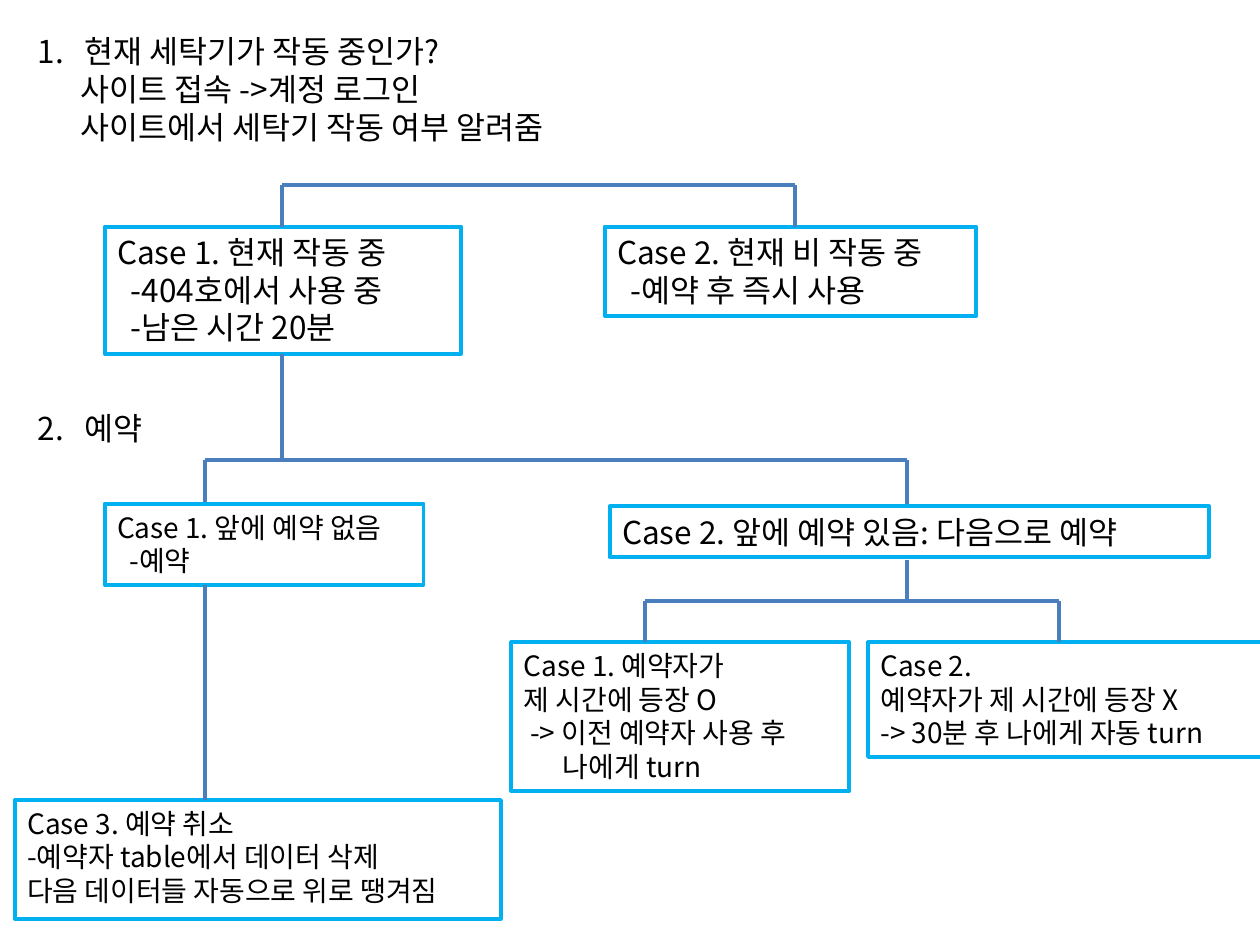
from dataclasses import dataclass

from lxml.etree import SubElement
from pptx import Presentation
from pptx.dml.color import RGBColor
from pptx.enum.shapes import MSO_CONNECTOR, MSO_SHAPE
from pptx.enum.text import MSO_ANCHOR, MSO_AUTO_SIZE, PP_ALIGN
from pptx.oxml.ns import qn
from pptx.util import Cm, Pt

FONT = "Noto Sans CJK KR"
COLORS = {"text": "000000", "box": "00B0F0", "line": "4B7EBC"}
LINE_WIDTH = Pt(2.25)
NUMBER_INDENT = 0.95


@dataclass
class Line:
    text: str
    indent: float = 0
    number: int = 0


@dataclass
class Block:
    left: float
    top: float
    width: float
    height: float
    size: int
    lines: list[Line]


@dataclass
class Fork:
    """A horizontal bar with an optional stem above and branches below."""
    bar: float
    branches: list[tuple[float, float]]
    stem: tuple[float, float] | None = None


HEADINGS = [
    Block(0.51, 0.53, 21.79, 2.56, 18, [
        Line("현재 세탁기가 작동 중인가?", number=1),
        Line("사이트 접속 ->계정 로그인", 0.87),
        Line("사이트에서 세탁기 작동 여부 알려줌", 0.87)]),
    Block(0.51, 8.13, 21.79, 1.02, 18, [Line("예약", number=2)]),
]

CASES = [
    # Is the washer running?
    Block(2.11, 4.57, 7.19, 2.56, 18, [
        Line("Case 1. 현재 작동 중"),
        Line("-404호에서 사용 중", 0.28),
        Line("-남은 시간 20분", 0.28)]),
    Block(12.19, 4.57, 7.49, 1.8, 18, [
        Line("Case 2. 현재 비 작동 중"),
        Line("-예약 후 즉시 사용", 0.28)]),
    # Reservation
    Block(2.11, 10.16, 6.43, 1.63, 16, [
        Line("Case 1. 앞에 예약 없음"),
        Line("-예약", 0.25)]),
    Block(12.29, 10.21, 12.09, 1.02, 18, [
        Line("Case 2. 앞에 예약 있음: 다음으로 예약")]),
    Block(0.3, 16.13, 9.8, 2.39, 16, [
        Line("Case 3. 예약 취소"),
        Line("-예약자 table에서 데이터 삭제"),
        Line("다음 데이터들 자동으로 위로 땡겨짐")]),
    # Does the previous person show up?
    Block(10.31, 12.95, 6.81, 3, 16, [
        Line("Case 1. 예약자가"),
        Line("제 시간에 등장 O"),
        Line("-> 이전 예약자 사용 후", 0.13),
        Line("나에게 turn", 0.79)]),
    Block(17.5, 12.95, 8, 2.31, 16, [
        Line("Case 2."),
        Line("예약자가 제 시간에 등장 X"),
        Line("-> 30분 후 나에게 자동 turn")]),
]

FORKS = [
    Fork(3.73, [(5.69, 4.57), (16.03, 4.57)]),
    Fork(9.27, [(4.14, 10.11), (18.29, 10.16)], stem=(5.69, 7.13)),
    Fork(12.12, [(13, 12.95), (21.34, 12.95)], stem=(18.29, 11.28)),
]


def color(name: str) -> RGBColor:
    return RGBColor.from_string(COLORS[name])


def write_line(paragraph, text: str, *, size: int, indent: float = 0, number: int = 0) -> None:
    paragraph.alignment = PP_ALIGN.LEFT
    run = paragraph.add_run()
    run.text = text
    run.font.size = Pt(size)
    run.font.name = FONT
    run.font.color.rgb = color("text")
    SubElement(run.font._element, qn("a:ea"), typeface=FONT)
    properties = paragraph._p.get_or_add_pPr()
    if number:
        properties.set("marL", str(Cm(NUMBER_INDENT)))
        properties.set("indent", str(-Cm(NUMBER_INDENT)))
        SubElement(properties, qn("a:buAutoNum"), type="arabicPeriod", startAt=str(number))
    elif indent:
        properties.set("marL", str(Cm(indent)))


def draw_block(slide, block: Block, *, boxed: bool) -> None:
    place = [Cm(value) for value in (block.left, block.top, block.width, block.height)]
    if boxed:
        shape = slide.shapes.add_shape(MSO_SHAPE.RECTANGLE, *place)
        shape.shadow.inherit = False
        shape.fill.background()
        shape.line.color.rgb = color("box")
        shape.line.width = LINE_WIDTH
    else:
        shape = slide.shapes.add_textbox(*place)
    frame = shape.text_frame
    frame.word_wrap = True
    frame.auto_size = MSO_AUTO_SIZE.SHAPE_TO_FIT_TEXT
    frame.vertical_anchor = MSO_ANCHOR.TOP
    for index, line in enumerate(block.lines):
        paragraph = frame.add_paragraph() if index else frame.paragraphs[0]
        write_line(paragraph, line.text, size=block.size, indent=line.indent, number=line.number)


def draw_line(slide, x1: float, y1: float, x2: float, y2: float) -> None:
    connector = slide.shapes.add_connector(MSO_CONNECTOR.STRAIGHT, Cm(x1), Cm(y1), Cm(x2), Cm(y2))
    connector.line.color.rgb = color("line")
    connector.line.width = LINE_WIDTH
    SubElement(connector._element.spPr, qn("a:effectLst"))


def draw_fork(slide, fork: Fork) -> None:
    draw_line(slide, fork.branches[0][0], fork.bar, fork.branches[-1][0], fork.bar)
    for x, bottom in fork.branches:
        draw_line(slide, x, fork.bar, x, bottom)
    if fork.stem:
        x, top = fork.stem
        draw_line(slide, x, top, x, fork.bar)


def main() -> None:
    presentation = Presentation()
    presentation.slide_width, presentation.slide_height = Cm(25.4), Cm(19.05)
    slide = presentation.slides.add_slide(presentation.slide_layouts[6])

    # Numbered questions and case boxes
    for heading in HEADINGS:
        draw_block(slide, heading, boxed=False)
    for case in CASES:
        draw_block(slide, case, boxed=True)

    # Branches, and the link from no reservation to cancelling
    for fork in FORKS:
        draw_fork(slide, fork)
    draw_line(slide, 4.14, 11.79, 4.14, 16.13)

    presentation.save("out.pptx")


if __name__ == "__main__":
    main()
